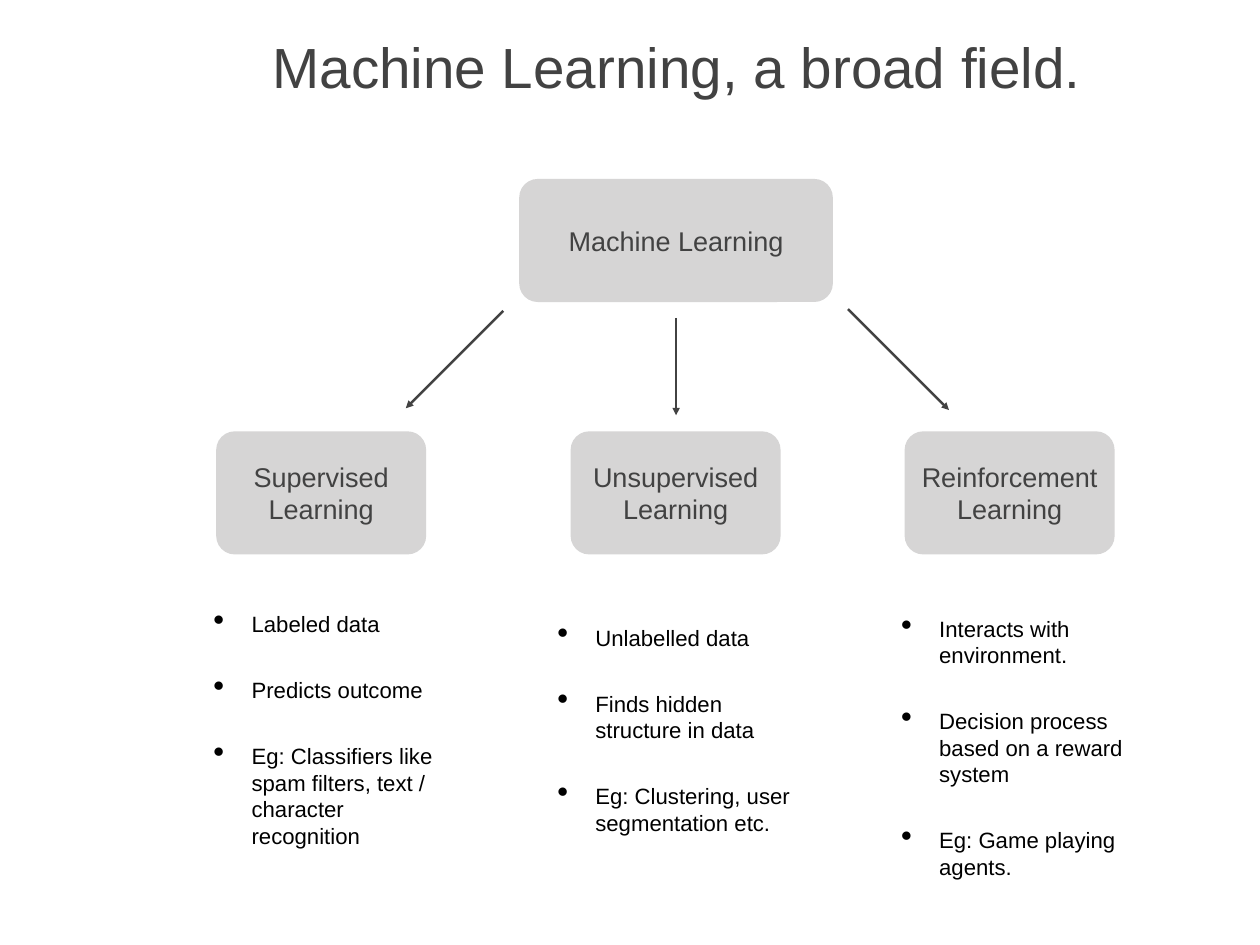
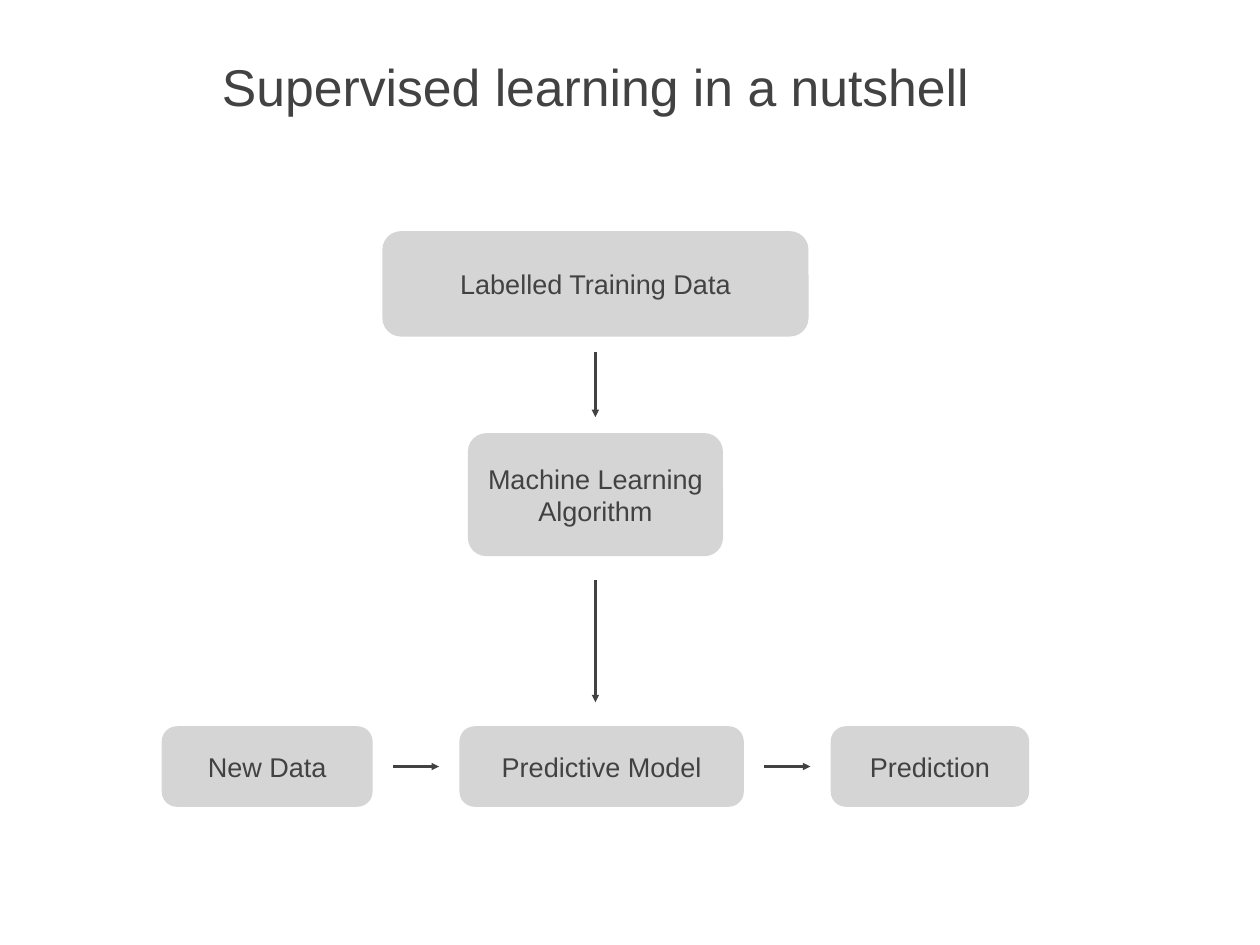
from lxml import etree
from pptx import Presentation
from pptx.dml.color import RGBColor
from pptx.enum.shapes import MSO_CONNECTOR, MSO_SHAPE
from pptx.enum.text import MSO_ANCHOR, MSO_AUTO_SIZE, PP_ALIGN
from pptx.oxml.ns import qn
from pptx.util import Inches, Pt

# Shared style
COLORS = {"ink": "424242", "box": "D6D5D5", "list": "000000"}
FONT, INSET, RADIUS = "Arial", 0.06, 0.21

# Slide 1: title, root box, three branches
FIELD = {
    "title": ("Machine Learning, a broad field.", (1.26, 0.19, 12.75, 1.11), 46),
    "root": ("Machine Learning", 3.54),
    "center": 7.63,
}
# Name, box left, bullets, lines when wrapped, list middle
KINDS = [
    ("Supervised Learning", 2.44, 6, 8.24, [
        "Labeled data", "Predicts outcome",
        "Eg: Classifiers like spam filters, text / character recognition"]),
    ("Unsupervised Learning", 6.44, 5, 8.24, [
        "Unlabelled data", "Finds hidden structure in data",
        "Eg: Clustering, user segmentation etc."]),
    ("Reinforcement Learning", 10.21, 7, 8.44, [
        "Interacts with environment.",
        "Decision process based on a reward system",
        "Eg: Game playing agents."]),
]
BRANCHES = [((5.68, 3.51), (4.58, 4.61)),
            ((9.57, 3.49), (10.71, 4.63)),
            ((7.63, 3.59), (7.63, 4.69))]

# Slide 2: title, boxes going down (top, width, height), boxes going across
NUTSHELL = {
    "title": ("Supervised learning in a nutshell", (0.65, 0.27, 12.14, 1.39), 42),
    "center": 6.72,
}
DOWN = [("Labelled Training Data", 2.61, 4.81, 1.19),
        ("Machine Learning Algorithm", 4.89, 2.88, 1.39)]
ACROSS = [("New Data", 2.38), ("Predictive Model", 3.21), ("Prediction", 2.24)]
ROW_TOP, ROW_HIGH, ROW_GAP = 8.2, 0.91, 0.98


def color(name):
    return RGBColor.from_string(COLORS[name])


def write(shape, lines, size, ink="ink", align=PP_ALIGN.CENTER):
    frame = shape.text_frame
    frame.text = "\n".join(lines)
    frame.word_wrap = True
    frame.auto_size = MSO_AUTO_SIZE.NONE
    frame.vertical_anchor = MSO_ANCHOR.MIDDLE
    frame.margin_left = frame.margin_right = Inches(INSET)
    frame.margin_top = frame.margin_bottom = Inches(INSET)
    for para in frame.paragraphs:
        para.alignment = align
        para.font.name, para.font.size = FONT, Pt(size)
        para.font.color.rgb = color(ink)
    return frame


def add_slide(deck, title):
    text, place, size = title
    slide = deck.slides.add_slide(deck.slide_layouts[5])
    head = slide.shapes.title
    head.left, head.top, head.width, head.height = map(Inches, place)
    write(head, [text], size)
    return slide


def add_box(slide, text, left, top, wide, high):
    box = slide.shapes.add_shape(MSO_SHAPE.ROUNDED_RECTANGLE,
                                 *map(Inches, (left, top, wide, high)))
    box.adjustments[0] = min(RADIUS / high, 0.188)
    box.shadow.inherit = False
    box.fill.solid()
    box.fill.fore_color.rgb = color("box")
    box.line.fill.background()
    write(box, [text], 22)


def add_arrow(slide, start, end):
    arrow = slide.shapes.add_connector(MSO_CONNECTOR.STRAIGHT,
                                       *map(Inches, start + end))
    arrow.line.color.rgb = color("ink")
    arrow.line.width = Pt(2)
    etree.SubElement(arrow.line._get_or_add_ln(), qn("a:tailEnd"), type="triangle")
    etree.SubElement(arrow._element.spPr, qn("a:effectLst"))


def add_list(slide, items, left, middle, rows):
    high = 1 + 0.305 * rows
    area = slide.shapes.add_textbox(
        *map(Inches, (left, middle - high / 2, 2.8, high)))
    frame = write(area, items, 18, "list", PP_ALIGN.LEFT)
    frame.auto_size = MSO_AUTO_SIZE.SHAPE_TO_FIT_TEXT
    for para in frame.paragraphs:
        para.space_before = Pt(32)
        props = para._p.get_or_add_pPr()
        props.set("marL", str(Inches(0.43)))
        props.set("indent", str(-Inches(0.43)))
        size = etree.Element(qn("a:buSzPct"), val="145000")
        mark = etree.Element(qn("a:buChar"), char="•")
        spot = props.index(props.find(qn("a:spcBef"))) + 1
        props[spot:spot] = [size, mark]


def build_field(deck):
    slide = add_slide(deck, FIELD["title"])
    name, wide = FIELD["root"]
    add_box(slide, name, FIELD["center"] - wide / 2, 2.02, wide, 1.39)
    for col, (name, left, rows, middle, items) in enumerate(KINDS):
        add_box(slide, name, left, 4.87, 2.37, 1.39)
        add_list(slide, items, 2.35 + 3.88 * col, middle, rows)
    for start, end in BRANCHES:
        add_arrow(slide, start, end)


def build_nutshell(deck):
    slide = add_slide(deck, NUTSHELL["title"])
    mid = NUTSHELL["center"]
    # Boxes going down, each with an arrow to the next level
    nexts = [top for _, top, _, _ in DOWN[1:]] + [ROW_TOP]
    for (name, top, wide, high), below, pad in zip(DOWN, nexts, (0.18, 0.27)):
        add_box(slide, name, mid - wide / 2, top, wide, high)
        add_arrow(slide, (mid, top + high + pad), (mid, below - pad))
    # Boxes going across, centred as one row
    total = sum(wide for _, wide in ACROSS) + ROW_GAP * (len(ACROSS) - 1)
    left, line = mid - total / 2, ROW_TOP + ROW_HIGH / 2
    for spot, (name, wide) in enumerate(ACROSS):
        if spot:
            add_arrow(slide, (left - ROW_GAP + 0.23, line), (left - 0.23, line))
        add_box(slide, name, left, ROW_TOP, wide, ROW_HIGH)
        left += wide + ROW_GAP


def main():
    deck = Presentation()
    deck.slide_width, deck.slide_height = Inches(14.22), Inches(10.67)
    build_field(deck)
    build_nutshell(deck)
    deck.save("out.pptx")


if __name__ == "__main__":
    main()
